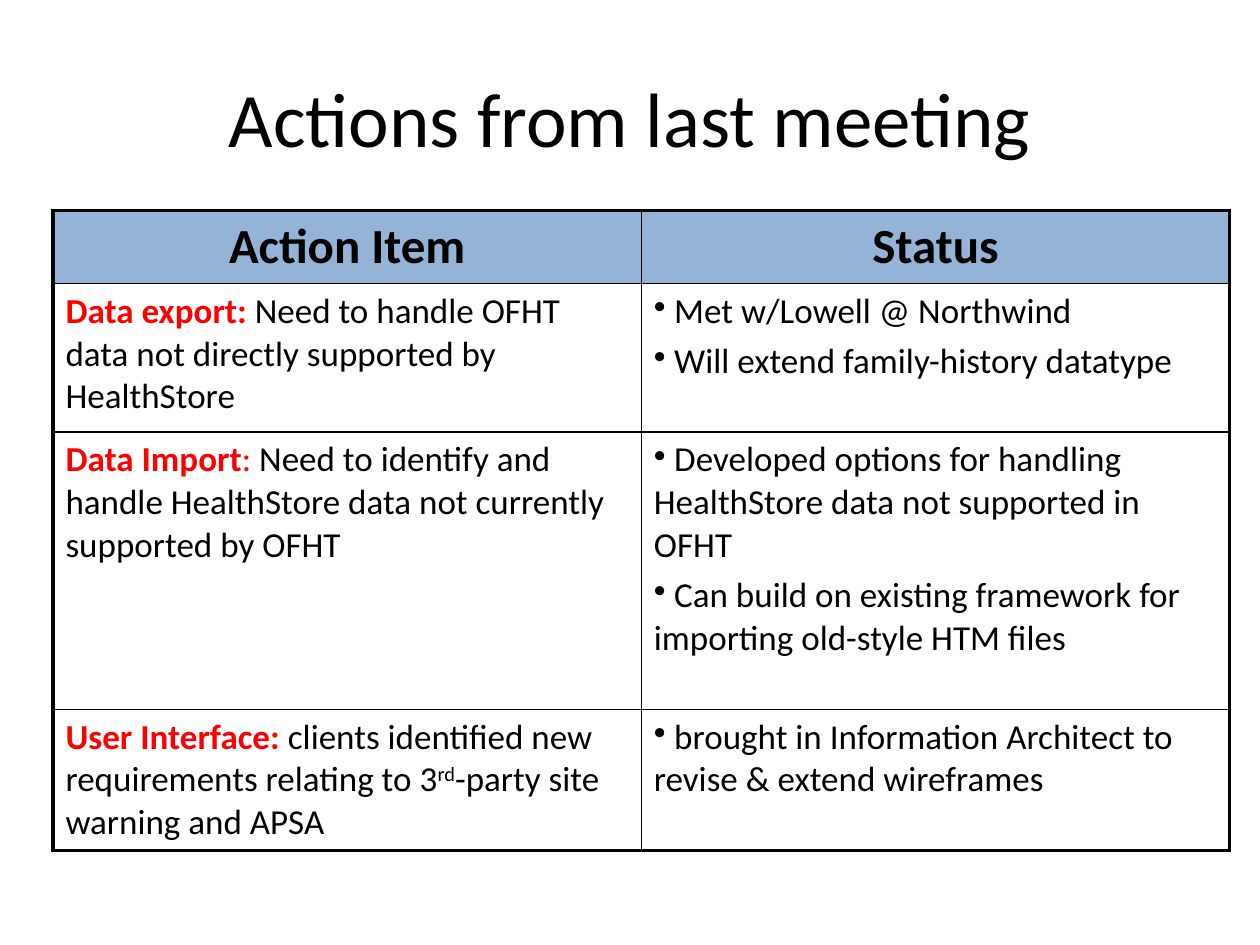
from lxml.etree import SubElement
from pptx import Presentation
from pptx.dml.color import RGBColor
from pptx.enum.text import MSO_ANCHOR, PP_ALIGN
from pptx.oxml.ns import qn
from pptx.util import Inches, Pt

BLACK = RGBColor(0x00, 0x00, 0x00)
RED = RGBColor(0xFF, 0x00, 0x00)
HEADER_BLUE = RGBColor(0x95, 0xB3, 0xD7)

PLAIN = {"name": "Calibri", "size": Pt(20), "bold": False}
LABEL = {**PLAIN, "bold": True}
HEADER = {**LABEL, "size": Pt(28)}
TITLE = {**PLAIN, "size": Pt(44)}


def add_run(paragraph, text, formats, color=BLACK):
    run = paragraph.add_run()
    run.text = text
    for name, value in formats.items():
        setattr(run.font, name, value)
    run.font.color.rgb = color
    return run


def set_border(cell, side, width):
    line = SubElement(cell._tc.get_or_add_tcPr(), qn(f"a:ln{side}"), w=str(Pt(width)))
    fill = SubElement(line, qn("a:solidFill"))
    SubElement(fill, qn("a:srgbClr"), val=str(BLACK))


presentation = Presentation()
presentation.slide_width = Inches(10)
presentation.slide_height = Inches(7.5)
slide = presentation.slides.add_slide(presentation.slide_layouts[6])

title = slide.shapes.add_textbox(Inches(0.5), Inches(0.3), Inches(9), Inches(1.25))
title.text_frame.word_wrap = True
title.text_frame.vertical_anchor = MSO_ANCHOR.MIDDLE
title_paragraph = title.text_frame.paragraphs[0]
title_paragraph.alignment = PP_ALIGN.CENTER
add_run(title_paragraph, "Actions from last meeting", TITLE)

headings = ["Action Item", "Status"]
actions = [
    (
        [("Data export:", LABEL, RED),
         (" Need to handle OFHT data not directly supported by HealthStore", PLAIN, BLACK)],
        ["Met w/Lowell @ Northwind", "Will extend family-history datatype"],
    ),
    (
        [("Data Import", LABEL, RED),
         (":", PLAIN, RED),
         (" Need to identify and handle HealthStore data not currently supported by OFHT",
          PLAIN, BLACK)],
        ["Developed options for handling HealthStore data not supported in OFHT",
         "Can build on existing framework for importing old-style HTM files"],
    ),
    (
        [("User Interface:", LABEL, RED),
         (" clients identified new requirements relating to 3", PLAIN, BLACK),
         ("rd", PLAIN, BLACK),
         ("-party site warning and APSA", PLAIN, BLACK)],
        ["brought in Information Architect to revise & extend wireframes"],
    ),
]
row_heights = [0.58, 1.18, 2.2, 1.12]
column_width = 4.67

table = slide.shapes.add_table(
    len(row_heights), len(headings), Inches(0.42), Inches(1.67),
    Inches(column_width * len(headings)), Inches(sum(row_heights)),
).table
table.horz_banding = False
for column in table.columns:
    column.width = Inches(column_width)
for row, height in zip(table.rows, row_heights):
    row.height = Inches(height)

last_row, last_column = len(row_heights) - 1, len(headings) - 1
for row_index in range(len(row_heights)):
    for column_index in range(len(headings)):
        cell = table.cell(row_index, column_index)
        outer_edges = {
            "L": column_index == 0,
            "R": column_index == last_column,
            "T": row_index == 0,
            "B": row_index == last_row,
        }
        for side, is_outer in outer_edges.items():
            set_border(cell, side, 2.25 if is_outer else 1)
        if row_index == 0:
            cell.fill.solid()
            cell.fill.fore_color.rgb = HEADER_BLUE
        else:
            cell.fill.background()

for column_index, heading in enumerate(headings):
    paragraph = table.cell(0, column_index).text_frame.paragraphs[0]
    paragraph.alignment = PP_ALIGN.CENTER
    add_run(paragraph, heading, HEADER)

for row_index, (action, statuses) in enumerate(actions, start=1):
    paragraph = table.cell(row_index, 0).text_frame.paragraphs[0]
    for text, formats, color in action:
        run = add_run(paragraph, text, formats, color)
        if text == "rd":
            run.font._element.set("baseline", "30000")

    text_frame = table.cell(row_index, 1).text_frame
    for status_index, status in enumerate(statuses):
        paragraph = text_frame.add_paragraph() if status_index else text_frame.paragraphs[0]
        paragraph.space_before = Pt(4)
        SubElement(paragraph._p.get_or_add_pPr(), qn("a:buChar"), char="•")
        add_run(paragraph, f" {status}", PLAIN)

presentation.save("out.pptx")
